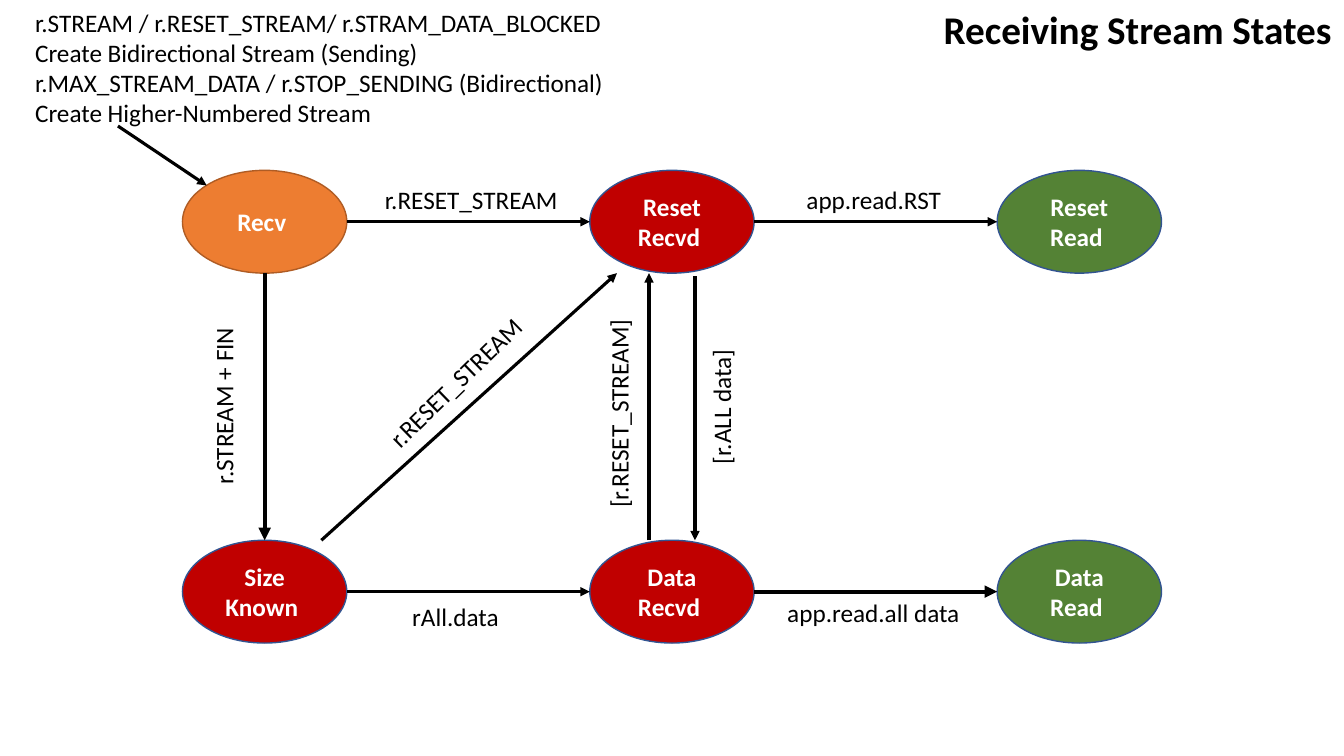
from lxml.etree import SubElement
from pptx import Presentation
from pptx.dml.color import RGBColor
from pptx.enum.shapes import MSO_CONNECTOR as CONNECTOR, MSO_SHAPE as SHAPE
from pptx.enum.text import MSO_ANCHOR as ANCHOR, MSO_AUTO_SIZE as AUTO_SIZE, PP_ALIGN as ALIGN
from pptx.oxml.ns import qn
from pptx.util import Inches, Pt

BLACK, WHITE = "000000", "FFFFFF"
ORANGE, RED, GREEN = "ED7D31", "C00000", "548235"
BROWN_EDGE, BLUE_EDGE = "AF5C24", "325491"

STATE_WIDTH, STATE_HEIGHT = 1.63, 1.02
LABEL_HEIGHT = 0.4

# name: (text, column, row, fill, edge)
STATES = {
    "recv": ("Recv ", 0, 0, ORANGE, BROWN_EDGE),
    "size known": ("Size Known ", 0, 1, RED, BLUE_EDGE),
    "data recvd": ("Data Recvd ", 1, 1, RED, BLUE_EDGE),
    "reset recvd": ("Reset Recvd ", 1, 0, RED, BLUE_EDGE),
    "reset read": ("Reset Read ", 2, 0, GREEN, BLUE_EDGE),
    "data read": ("Data Read ", 2, 1, GREEN, BLUE_EDGE),
}

# Ends are (state, x, y), with x and y in half widths and heights from its centre.
# start, end, line width, label, label width, label offset from the middle, rotation
TRANSITIONS = [
    (("recv", 1, 0), ("reset recvd", -1, 0), 2.25, "r.RESET_STREAM", 1.93, (0.04, -0.22), 0),
    (("size known", 0.69, -1), ("reset recvd", -0.67, 1), 2.25,
     "r.RESET_STREAM", 1.93, (-0.13, -0.25), 315.8),
    (("recv", 0, 1), ("size known", 0, -1), 3, "r.STREAM + FIN", 1.77, (-0.41, -0.02), 270),
    (("size known", 1, 0), ("data recvd", -1, 0), 2.25, "rAll.data", 1.07, (-0.12, 0.25), 0),
    (("data recvd", 1, 0), ("data read", -1, 0), 3, "app.read.all data", 1.93, (-0.01, 0.21), 0),
    (("reset recvd", 1, 0), ("reset read", -1, 0), 2.25, "app.read.RST", 1.55, (-0.01, -0.22), 0),
    (("data recvd", -0.28, -1), ("reset recvd", -0.28, 1), 2.25,
     "[r.RESET_STREAM]", 2.08, (-0.3, 0.06), 270),
    (("reset recvd", 0.28, 1.06), ("data recvd", 0.28, -1), 2.25,
     "[r.ALL data]", 1.35, (0.26, -0.02), 270),
]

CREATION_TRIGGERS = [
    "r.STREAM / r.RESET_STREAM/ r.STRAM_DATA_BLOCKED",
    "Create Bidirectional Stream (Sending)",
    "r.MAX_STREAM_DATA / r.STOP_SENDING (Bidirectional)",
    "Create Higher-Numbered Stream",
]


def color(hex_string):
    return RGBColor.from_string(hex_string)


def format_text(text_frame, size, hex_color, bold=False, alignment=ALIGN.LEFT):
    for paragraph in text_frame.paragraphs:
        paragraph.alignment = alignment
        for run in paragraph.runs:
            run.font.name = "Calibri"
            run.font.size = Pt(size)
            run.font.bold = bold
            run.font.color.rgb = color(hex_color)


def add_title(slide, text, left, top, width, height):
    title = slide.shapes.title
    title.left, title.top = Inches(left), Inches(top)
    title.width, title.height = Inches(width), Inches(height)
    title.text_frame.text = text
    title.text_frame.auto_size = AUTO_SIZE.NONE
    title.text_frame.vertical_anchor = ANCHOR.TOP
    format_text(title.text_frame, 28, BLACK, bold=True)


def add_text(slide, text, left, top, width, height, rotation=0):
    box = slide.shapes.add_textbox(Inches(left), Inches(top), Inches(width), Inches(height))
    box.rotation = rotation
    box.text_frame.text = text
    box.text_frame.word_wrap = False
    box.text_frame.auto_size = AUTO_SIZE.SHAPE_TO_FIT_TEXT
    format_text(box.text_frame, 18, BLACK)


def add_arrow(slide, start, end, line_width):
    ends = [Inches(value) for value in (*start, *end)]
    arrow = slide.shapes.add_connector(CONNECTOR.STRAIGHT, *ends)
    arrow.line.color.rgb = color(BLACK)
    arrow.line.width = Pt(line_width)
    SubElement(arrow.line._get_or_add_ln(), qn("a:tailEnd"), type="triangle")
    SubElement(arrow._element.spPr, qn("a:effectLst"))


def add_state(slide, text, center, fill, edge):
    left, top = center[0] - STATE_WIDTH / 2, center[1] - STATE_HEIGHT / 2
    state = slide.shapes.add_shape(SHAPE.OVAL, Inches(left), Inches(top),
                                   Inches(STATE_WIDTH), Inches(STATE_HEIGHT))
    state.shadow.inherit = False
    state.fill.solid()
    state.fill.fore_color.rgb = color(fill)
    state.line.color.rgb = color(edge)
    state.line.width = Pt(1)
    state.text_frame.text = text
    state.text_frame.word_wrap = True
    state.text_frame.vertical_anchor = ANCHOR.MIDDLE
    format_text(state.text_frame, 18, WHITE, bold=True, alignment=ALIGN.CENTER)


def add_state_diagram(slide, left, top, width, height):
    """Spread the states over three columns and two rows, then join them."""
    column_step = (width - STATE_WIDTH) / 2
    row_step = height - STATE_HEIGHT

    def point(name, x=0, y=0):
        _, column, row, *_ = STATES[name]
        return (left + column * column_step + (1 + x) * STATE_WIDTH / 2,
                top + row * row_step + (1 + y) * STATE_HEIGHT / 2)

    for name, (text, _, _, fill, edge) in STATES.items():
        add_state(slide, text, point(name), fill, edge)

    for start, end, line_width, label, label_width, offset, rotation in TRANSITIONS:
        start, end = point(*start), point(*end)
        add_arrow(slide, start, end, line_width)
        center_x, center_y = [(a + b) / 2 + shift for a, b, shift in zip(start, end, offset)]
        add_text(slide, label, center_x - label_width / 2, center_y - LABEL_HEIGHT / 2,
                 label_width, LABEL_HEIGHT, rotation)


def add_creation_note(slide, left, top, width, height):
    """List what creates a stream, with an arrow to the first state."""
    add_text(slide, "\n".join(CREATION_TRIGGERS), left, top, width, height)
    add_arrow(slide, (left + 0.92, top + 1.23), (left + 1.8, top + 1.82), 2.25)


def main():
    presentation = Presentation()
    presentation.slide_width, presentation.slide_height = Inches(13.33), Inches(7.5)
    slide = presentation.slides.add_slide(presentation.slide_layouts[5])
    add_state_diagram(slide, 1.81, 1.69, 9.71, 4.69)
    add_creation_note(slide, 0.25, 0.02, 5.89, 1.31)
    add_title(slide, "Receiving Stream States", 9.26, 0, 4.07, 0.57)
    presentation.save("out.pptx")


if __name__ == "__main__":
    main()
